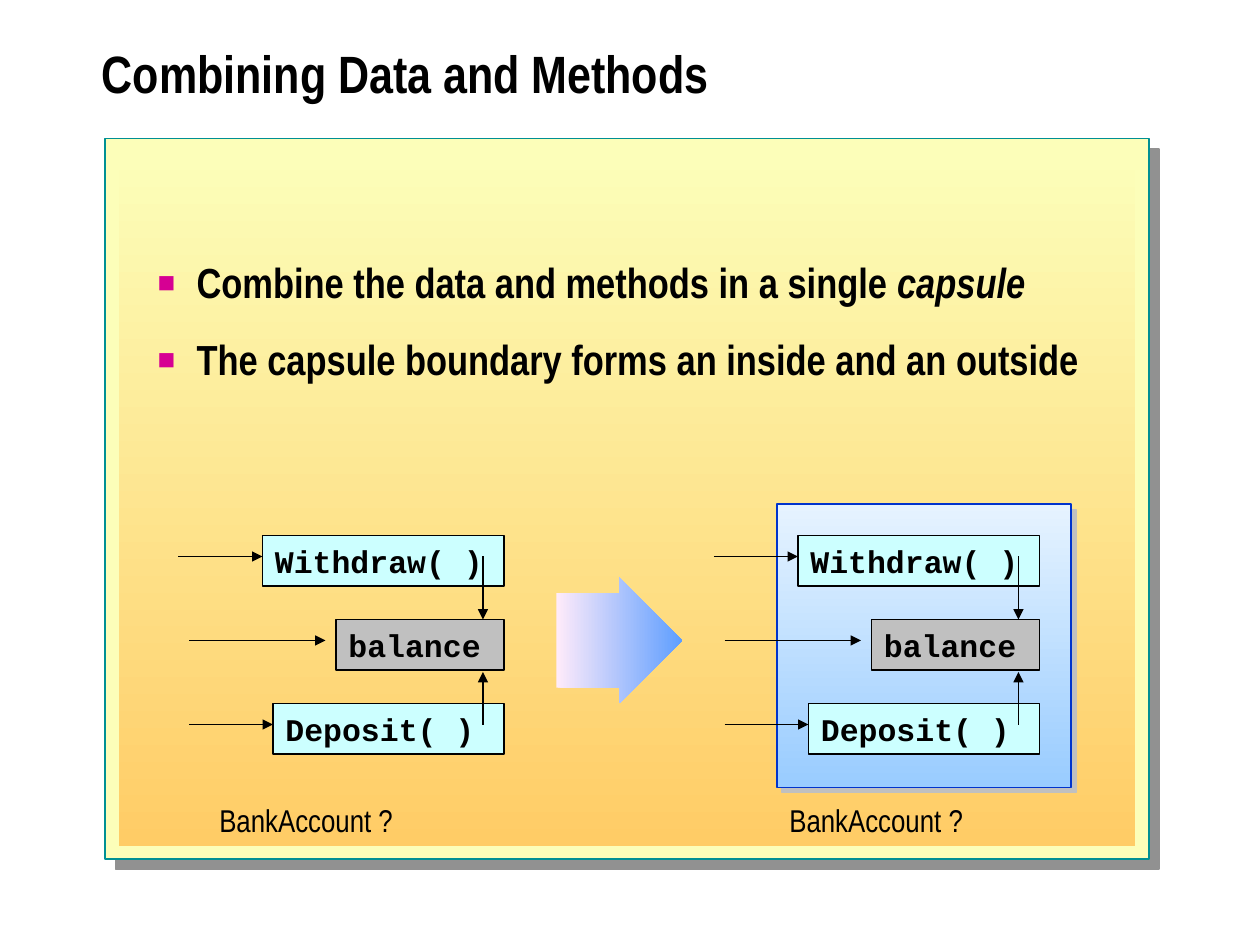
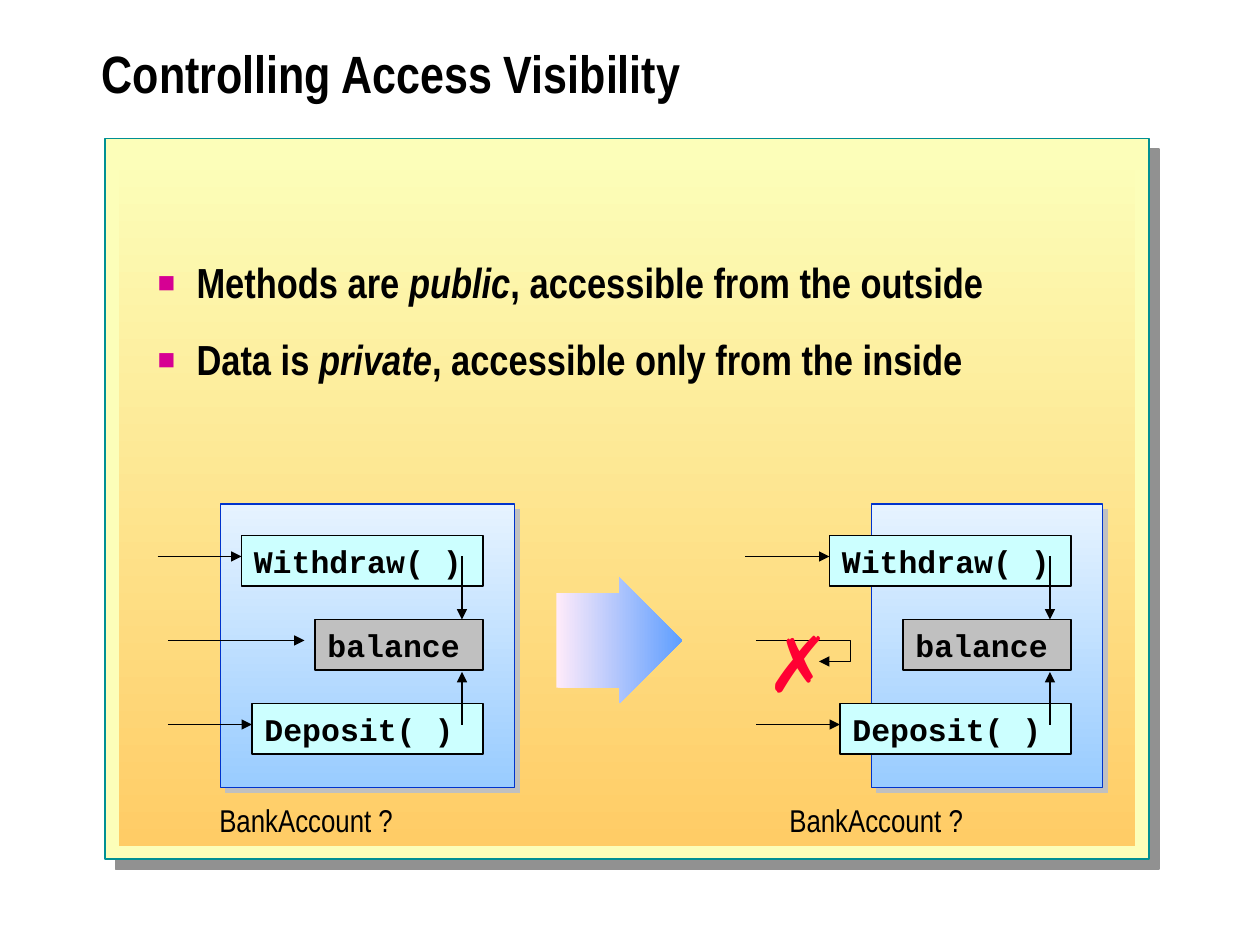
"""Build two slides about joining data and methods in a capsule."""
from dataclasses import dataclass
from typing import Any

from lxml import etree
from pptx import Presentation
from pptx import util as u
from pptx.dml.color import RGBColor
from pptx.enum import shapes, text
from pptx.oxml import ns

WIDE, HIGH = u.Inches(10), u.Inches(7.5)
COLS, ROWS = 120, 90
BLACK, TEAL, NAVY, RED, PINK = "000000", "009094", "0033CC", "FF0033", "D60093"
CREAM, AQUA, GREY = "FCFEB9", "CCFFFF", "C0C0C0"
GOLD, SKY, DAWN = (CREAM, "FFCC66"), ("E6F3FF", "99CCFF"), ("FFEBFA", "5E9EFF")
HEAD = {"name": "Arial Narrow", "size": u.Pt(30), "bold": True}
LIST = {"name": "Arial Narrow", "size": u.Pt(24), "bold": True}
NOTE = {"name": "Arial Narrow", "size": u.Pt(18)}
CODE = {"name": "Courier New", "size": u.Pt(18), "bold": True}
MARK = {"name": "Arial", "size": u.Pt(44)}


@dataclass(frozen=True)
class Box:
    x: float
    y: float
    w: float
    h: float

    def place(self) -> tuple[int, int, int, int]:
        return col(self.x), row(self.y), col(self.w), row(self.h)


@dataclass(frozen=True)
class Look:
    fill: str | tuple[str, str]
    line: str | None = None
    width: float = 1
    angle: int = 270
    shade: tuple[str, float] | None = None


@dataclass(frozen=True)
class Call:
    name: str
    width: int
    top: int
    fill: str
    gap: int = 0
    reach: int = 8


@dataclass(frozen=True)
class Account:
    right: int
    shell: Box | None = None
    barred: bool = False


@dataclass(frozen=True)
class Page:
    title: str
    points: tuple[tuple[str, ...], ...]
    sides: tuple[Account, Account]


PANEL = Box(10, 13.2, 99.4, 68.6)
BAND = Box(11.3, 14.6, 96.8, 66)
TITLE = Box(8.5, 2, 107.5, 11)
BODY = Box(13.8, 24.4, 94.4, 56.3)
ARROW = Box(53, 55, 12, 12)
CROSS = Box(71.8, 58, 7.4, 10)
NOTES = (Box(19.7, 75.7, 19.3, 4.8), Box(74, 75.7, 19, 4.8))
CALLS = (
    Call("Withdraw( )", 23, 51, AQUA),
    Call("Deposit( )", 22, 67, AQUA),
    Call("balance", 16, 59, GREY, gap=1, reach=13),
)
PAGES = (
    Page(
        "Combining Data and Methods",
        (("Combine the data and methods in a single ", "capsule"),
         ("The capsule boundary forms an inside and an outside",)),
        (Account(48), Account(99, Box(74, 48, 28, 27))),
    ),
    Page(
        "Controlling Access Visibility",
        (("Methods are ", "public", ", accessible from the outside"),
         ("Data is ", "private", ", accessible only from the inside")),
        (Account(46, Box(21, 48, 28, 27)),
         Account(102, Box(83, 48, 22, 27), barred=True)),
    ),
)


def col(num: float) -> int:
    return round(WIDE * num / COLS)


def row(num: float) -> int:
    return round(HIGH * num / ROWS)


def hue(code: str) -> RGBColor:
    return RGBColor.from_string(code)


def node(base: Any, tag: str, **attrs: str) -> Any:
    return etree.SubElement(base, ns.qn(tag), attrs)


def put(item: Any, vals: dict[str, Any]) -> None:
    for key, val in vals.items():
        setattr(item, key, val)


def write(para: Any, parts: tuple[str, ...], form: dict[str, Any],
          ink: str = BLACK) -> None:
    """Add runs to a paragraph, with every second one in italics."""
    para.alignment = text.PP_ALIGN.LEFT
    for num, part in enumerate(parts):
        run = para.add_run()
        run.text = part
        put(run.font, form)
        run.font.color.rgb = hue(ink)
        if num % 2:
            run.font.italic = True


def draw(slide: Any, box: Box, look: Look,
         kind: Any = shapes.MSO_SHAPE.RECTANGLE) -> Any:
    shape = slide.shapes.add_shape(kind, *box.place())
    shape.shadow.inherit = False
    if isinstance(look.fill, tuple):
        shape.fill.gradient()
        shape.fill.gradient_angle = look.angle
        for num, stop in enumerate(shape.fill.gradient_stops):
            stop.position = num
            stop.color.rgb = hue(look.fill[num])
    else:
        shape.fill.solid()
        shape.fill.fore_color.rgb = hue(look.fill)
    if look.line:
        shape.line.color.rgb = hue(look.line)
        shape.line.width = u.Pt(look.width)
    else:
        shape.line.fill.background()
    if look.shade:
        ink, dist = look.shade
        list_ = shape.element.spPr.find(ns.qn("a:effectLst"))
        cast = node(list_, "a:outerShdw", dist=str(u.Pt(dist)),
                    dir="2700000", algn="ctr", rotWithShape="0")
        node(cast, "a:srgbClr", val=ink)
    return shape


def link(slide: Any, x: float, y: float, x2: float, y2: float,
         bend: int = 0) -> None:
    kind = shapes.MSO_CONNECTOR.ELBOW if bend else shapes.MSO_CONNECTOR.STRAIGHT
    line = slide.shapes.add_connector(kind, col(x), row(y), col(x2), row(y2))
    line.line.color.rgb = hue(BLACK)
    line.line.width = u.Pt(0.75)
    prop = line.element.spPr
    node(prop.find(ns.qn("a:ln")), "a:tailEnd", type="triangle")
    node(prop, "a:effectLst")
    if bend:
        node(prop.find(".//" + ns.qn("a:avLst")), "a:gd",
             name="adj1", fmla=f"val {bend * 1000}")


def label(slide: Any, box: Box, words: str, form: dict[str, Any],
          ink: str = BLACK) -> None:
    frame = slide.shapes.add_textbox(*box.place()).text_frame
    frame.word_wrap = False
    write(frame.paragraphs[0], (words,), form, ink)


def model(slide: Any, side: Account) -> None:
    """Draw one account: its capsule, its members and their arrows."""
    if side.shell:
        draw(slide, side.shell, Look(SKY, NAVY, 0.75, shade=(GREY, 4.2)))
    for call in CALLS:
        left = side.right - call.width
        box = Box(left, call.top, call.width, 4.8)
        frame = draw(slide, box, Look(call.fill, BLACK)).text_frame
        frame.vertical_anchor = text.MSO_ANCHOR.TOP
        write(frame.paragraphs[0], (call.name,), CODE)
        tip, mid = left - call.gap, call.top + 2
        if side.barred and call.gap:
            start = tip - call.reach
            link(slide, start, mid, start + 6, mid + 2, bend=150)
            label(slide, CROSS, "✗", MARK, RED)
        else:
            link(slide, tip - call.reach, mid, tip, mid)
    for start, end in ((53, 59), (69, 64)):
        link(slide, side.right - 2, start, side.right - 2, end)


def fill(slide: Any, page: Page) -> None:
    """Move and format the title and the list."""
    title, body = slide.placeholders
    for item, box in ((title, TITLE), (body, BODY)):
        put(item, dict(zip(("left", "top", "width", "height"), box.place())))
        item.text_frame.auto_size = text.MSO_AUTO_SIZE.NONE
        item.element.getparent().append(item.element)
    title.text_frame.vertical_anchor = text.MSO_ANCHOR.MIDDLE
    head = title.text_frame.paragraphs[0]
    head.line_spacing = 0.8
    write(head, (page.title,), HEAD)
    for num, point in enumerate(page.points):
        frame = body.text_frame
        para = frame.add_paragraph() if num else frame.paragraphs[0]
        put(para, {"line_spacing": 0.9, "space_before": u.Pt(18)})
        write(para, point, LIST)
        prop = para._p.get_or_add_pPr()
        prop.set("marL", str(u.Inches(0.31)))
        prop.set("indent", str(u.Inches(-0.31)))
        node(node(prop, "a:buClr"), "a:srgbClr", val=PINK)
        node(prop, "a:buSzPct", val="70000")
        node(prop, "a:buFont", typeface="Arial")
        node(prop, "a:buChar", char="■")


def build(deck: Any, page: Page) -> Any:
    slide = deck.slides.add_slide(deck.slide_layouts[1])
    draw(slide, BAND, Look(GOLD))
    fill(slide, page)
    arrow = draw(slide, ARROW, Look(DAWN, angle=0), shapes.MSO_SHAPE.RIGHT_ARROW)
    arrow.adjustments[0] = 0.75
    arrow.adjustments[1] = 0.5
    for side, box in zip(page.sides, NOTES):
        model(slide, side)
        label(slide, box, "BankAccount ?", NOTE)
    return slide


def main() -> None:
    deck = Presentation()
    put(deck, {"slide_width": WIDE, "slide_height": HIGH})
    slides = [build(deck, page) for page in PAGES]
    panel = draw(slides[0], PANEL, Look(CREAM, TEAL, shade=("919191", 8.5)))
    deck.slide_master.element.cSld.spTree.insert(2, panel.element)
    deck.save("out.pptx")


if __name__ == "__main__":
    main()
